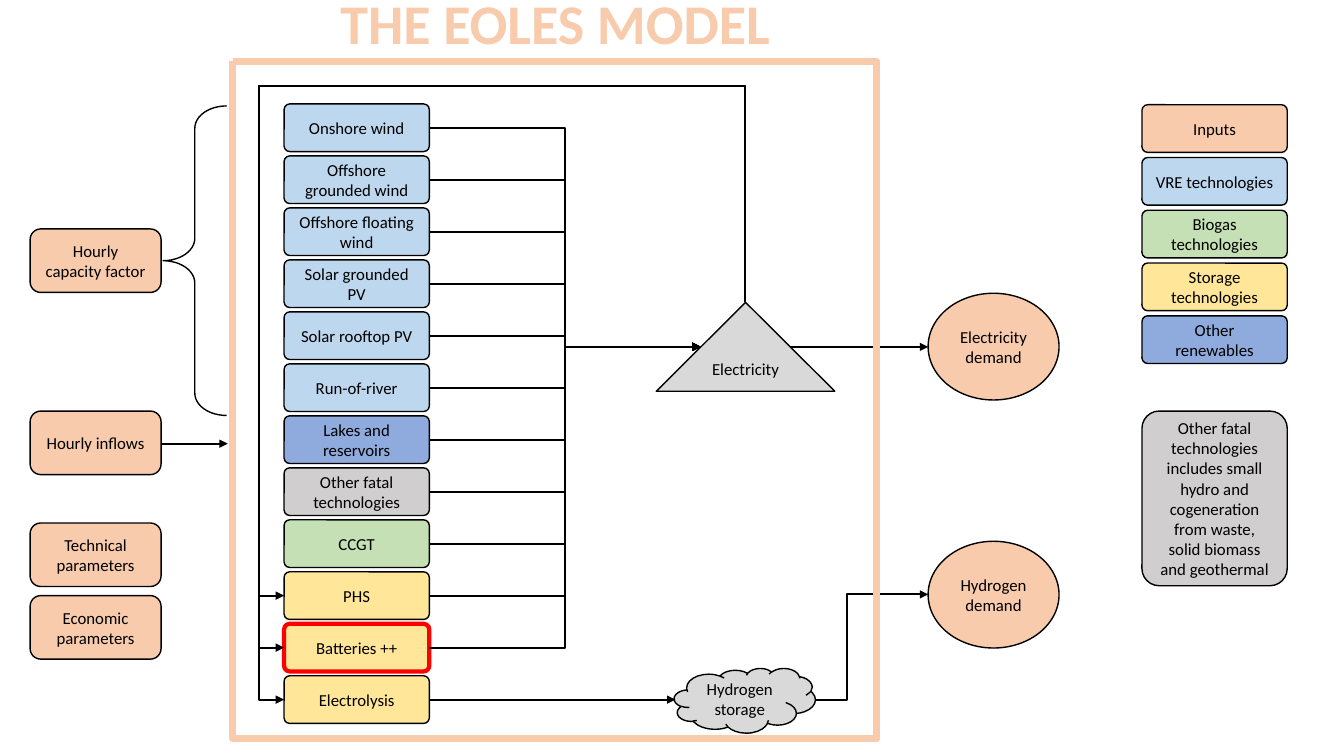
from lxml.etree import SubElement as Sub
from pptx import Presentation
from pptx.dml.color import RGBColor as Rgb
from pptx.enum.dml import MSO_LINE as Dash
from pptx.enum.shapes import MSO_CONNECTOR as Link, MSO_SHAPE as Form
from pptx.enum.text import MSO_ANCHOR as Anchor, MSO_AUTO_SIZE as Fit, PP_ALIGN as Align
from pptx.oxml.ns import qn
from pptx.util import Cm, Pt

HUES = {
    "black": "000000", "red": "FF0000", "input": "F8CBAD", "vre": "BDD7EE",
    "gas": "C5E0B4", "store": "FFE699", "other": "8FAADC", "fatal": "D0CECE",
    "node": "D9D9D9", "blue": "4472C4",
}
TECHS = [
    ("Onshore wind", "vre"), ("Offshore grounded wind", "vre"),
    ("Offshore floating wind", "vre"), ("Solar grounded PV", "vre"),
    ("Solar rooftop PV", "vre"), ("Run-of-river", "vre"),
    ("Lakes and reservoirs", "other"), ("Other fatal technologies", "fatal"),
    ("CCGT", "gas"), ("PHS", "store"), ("Batteries ++", "store"),
    ("Electrolysis", "store"),
]
LEGEND = [
    ("Inputs", "input"), ("VRE technologies", "vre"),
    ("Biogas technologies", "gas"), ("Storage technologies", "store"),
    ("Other renewables", "other"),
]
INPUTS = [
    ("Hourly capacity factor", 5.77), ("Hourly inflows", 10.36),
    ("Technical parameters", 13.18), ("Economic parameters", 15.01),
]
NOTE = ("Other fatal technologies includes small hydro and cogeneration "
        "from waste, solid biomass and geothermal")
LEFT, TOP, WIDE, HIGH, STEP = 7.16, 2.62, 3.66, 1.2, 1.31
KEY_X, KEY_Y, KEY_STEP = 28.78, 2.64, 1.33
APEX_X, APEX_Y, HUB_Y = 18.78, 7.62, 8.74
ROUND = 0.118


def tint(hue):
    """Return the named colour."""
    return Rgb.from_string(HUES[hue])


def style(para, size, hue, bold=False):
    """Set the font of a paragraph."""
    font = para.font
    font.name, font.size, font.bold = "Calibri", Pt(size), bold
    font.color.rgb = tint(hue)


def shape(slide, form, box, fill=None, text="", adj=(), edge="black", line=1):
    """Add a preset shape with centred text."""
    item = slide.shapes.add_shape(form, *map(Cm, box))
    item.shadow.inherit = False
    for i, val in enumerate(adj):
        item.adjustments[i] = val
    if fill:
        item.fill.solid()
        item.fill.fore_color.rgb = tint(fill)
    else:
        item.fill.background()
    item.line.color.rgb = tint(edge)
    item.line.width = Pt(line)
    if text:
        frame = item.text_frame
        frame.text = text
        frame.word_wrap = True
        frame.vertical_anchor = Anchor.MIDDLE
        for para in frame.paragraphs:
            para.alignment = Align.CENTER
            style(para, 12, "black")
    return item


def arrow(slide, start, end, kind=Link.STRAIGHT, adj=()):
    """Add a black connector with an arrowhead at its end."""
    item = slide.shapes.add_connector(kind, *map(Cm, (*start, *end)))
    item.line.color.rgb = tint("black")
    item.line.width = Pt(1.5)
    props = item._element.spPr
    Sub(props.find(qn("a:ln")), qn("a:tailEnd"), type="triangle")
    Sub(props, qn("a:effectLst"))
    guides = props.find(qn("a:prstGeom")).find(qn("a:avLst"))
    for i, val in enumerate(adj, 1):
        Sub(guides, qn("a:gd"), name=f"adj{i}", fmla=f"val {round(val * 100000)}")
    return item


def loop(slide, row):
    """Lead electricity over the top and back to a storage row."""
    end = mid(row)
    drop, span = end - APEX_Y, APEX_X - LEFT
    x, y = (APEX_X + LEFT) / 2, (APEX_Y + end) / 2
    item = arrow(slide, (x + drop / 2, y + span / 2), (x - drop / 2, y - span / 2),
                 Link.ELBOW, (-5.46 / drop, 1 + 0.64 / span))
    props = item._element.spPr
    props.find(qn("a:xfrm")).set("rot", "16200000")
    props.find(qn("a:prstGeom")).set("prst", "bentConnector4")


def mid(row):
    """Return the middle height of a technology row."""
    return TOP + row * STEP + HIGH / 2


def title(slide):
    """Add the heading."""
    item = slide.shapes.add_textbox(*map(Cm, (8.33, -0.41, 11.43, 1.96)))
    frame = item.text_frame
    frame.text = "THE EOLES MODEL"
    frame.word_wrap = False
    frame.auto_size = Fit.SHAPE_TO_FIT_TEXT
    style(frame.paragraphs[0], 40, "input", True)


def techs(slide):
    """Add the technology boxes."""
    for row, (name, fill) in enumerate(TECHS):
        hot = name == "Batteries ++"
        shape(slide, Form.ROUNDED_RECTANGLE, (LEFT, TOP + row * STEP, WIDE, HIGH),
              fill, name, (ROUND,), "red" if hot else "black", 3 if hot else 1)


def nodes(slide):
    """Add the energy carriers and their demands."""
    shape(slide, Form.CLOUD, (16.99, 16.84, 3.56, 1.63), "node", "Hydrogen\nstorage")
    shape(slide, Form.ISOSCELES_TRIANGLE, (16.54, APEX_Y, 4.5, 2.24), "node", "Electricity")
    for name, y in (("Electricity", 7.39), ("Hydrogen", 13.64)):
        shape(slide, Form.OVAL, (23.39, y, 3.3, 2.69), "input", f"{name}\ndemand")


def flows(slide):
    """Add the links between boxes, carriers and demands."""
    last = len(TECHS) - 1
    for row in range(last):
        arrow(slide, (LEFT + WIDE, mid(row)), (17.66, HUB_Y), Link.ELBOW, (0.5,))
    for row in range(last - 2, last + 1):
        loop(slide, row)
    arrow(slide, (LEFT + WIDE, mid(last)), (17.02, mid(last)))
    arrow(slide, (19.91, HUB_Y), (23.39, HUB_Y))
    arrow(slide, (20.55, mid(last)), (23.39, 14.98), Link.ELBOW, (0.279,))


def inputs(slide):
    """Add the input boxes with their brace and arrow."""
    for name, y in INPUTS:
        shape(slide, Form.ROUNDED_RECTANGLE, (0.76, y, 3.3, 1.6), "input", name)
    shape(slide, Form.LEFT_BRACE, (4.11, 2.67, 1.6, 7.8), adj=(0.352, 0.5))
    arrow(slide, (4.06, 11.18), (5.74, 11.18))


def legend(slide):
    """Add the colour key and the note below it."""
    for row, (name, fill) in enumerate(LEGEND):
        shape(slide, Form.ROUNDED_RECTANGLE,
              (KEY_X, KEY_Y + row * KEY_STEP, WIDE, HIGH), fill, name, (ROUND,))
    shape(slide, Form.ROUNDED_RECTANGLE, (KEY_X, 10.36, WIDE, 4.4), "fatal", NOTE, (ROUND,))


def main():
    """Build the slide and save it."""
    deck = Presentation()
    deck.slide_width, deck.slide_height = Cm(33.87), Cm(19.05)
    slide = deck.slides.add_slide(deck.slide_layouts[6])
    techs(slide)
    nodes(slide)
    flows(slide)
    legend(slide)
    border = shape(slide, Form.FRAME, (5.87, 1.55, 16.21, 17.07), "blue",
                   adj=(0,), edge="input", line=5)
    border.line.dash_style = Dash.DASH
    title(slide)
    inputs(slide)
    deck.save("out.pptx")


main()
